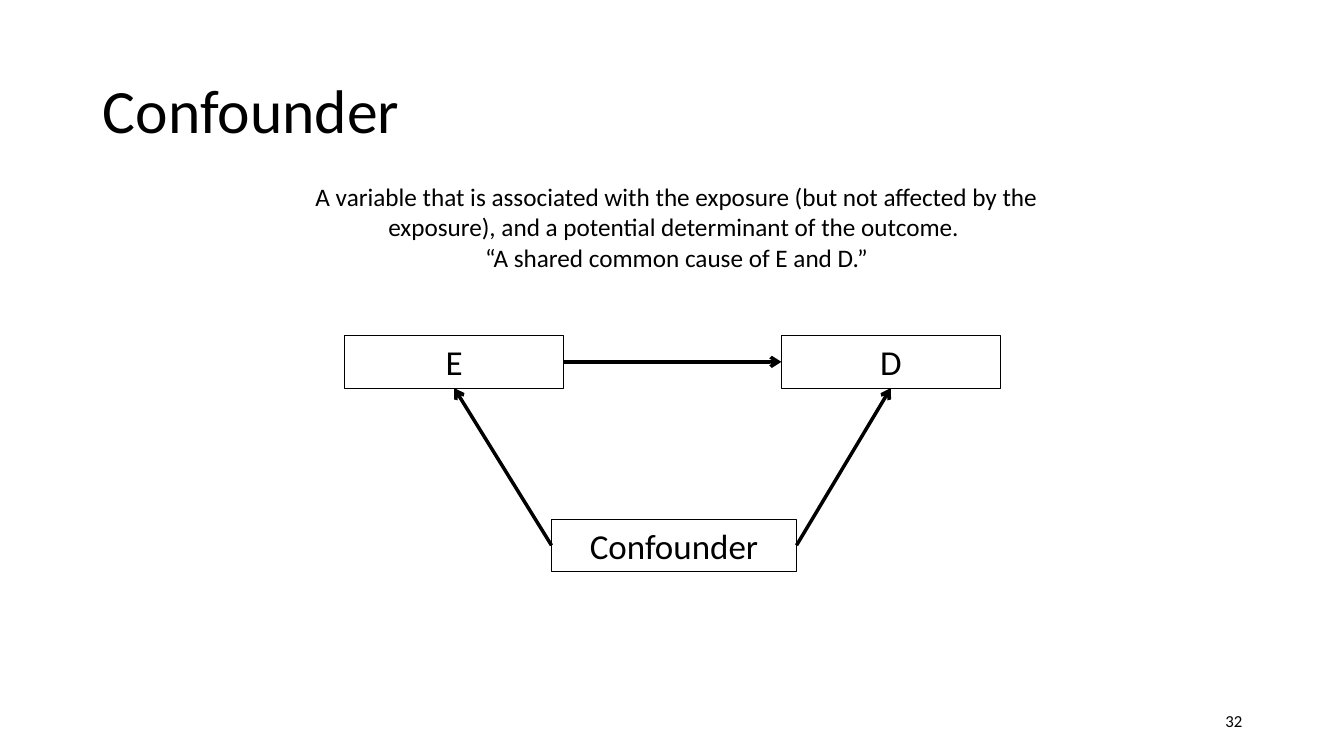
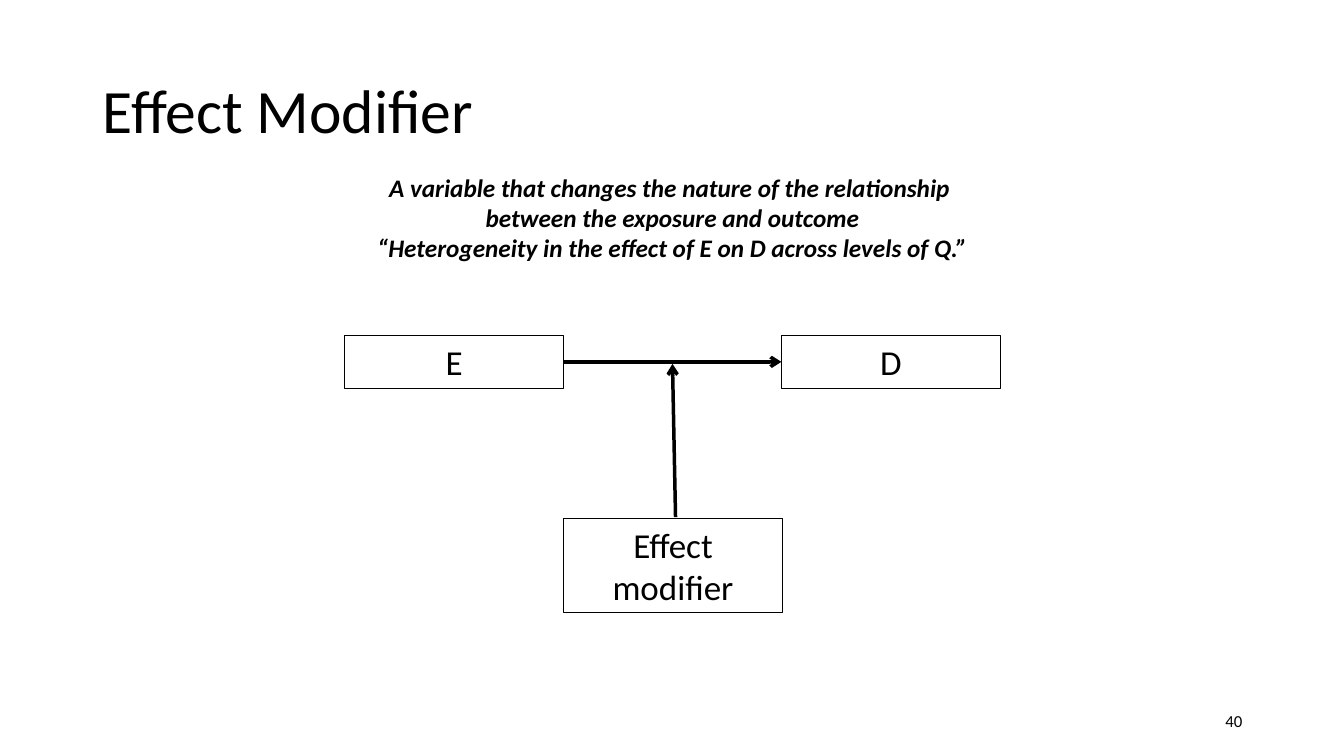
from lxml import etree
from pptx import Presentation
from pptx.dml.color import RGBColor
from pptx.enum.shapes import MSO_CONNECTOR, MSO_SHAPE
from pptx.enum.text import MSO_ANCHOR, MSO_AUTO_SIZE, PP_ALIGN
from pptx.oxml.ns import qn
from pptx.util import Inches, Pt

LEFT, CENTER, RIGHT = PP_ALIGN.LEFT, PP_ALIGN.CENTER, PP_ALIGN.RIGHT
TOP, MIDDLE = MSO_ANCHOR.TOP, MSO_ANCHOR.MIDDLE
NO_AUTOFIT = MSO_AUTO_SIZE.NONE
RECTANGLE = MSO_SHAPE.RECTANGLE
STRAIGHT = MSO_CONNECTOR.STRAIGHT
TITLE_ONLY = 5
SIDE_TOP, SIDE_LEFT, SIDE_BOTTOM, SIDE_RIGHT = range(4)

FONT = "Calibri"
COLORS = {"ink": "000000"}
INK = RGBColor.from_string(COLORS["ink"])

NODE_WIDTH, NODE_HEIGHT = 2.17, 0.52
NODE_TOP = 3.33
EXPOSURE_LEFT, OUTCOME_LEFT = 3.42, 7.75


def write(shape, *lines, size=18, align=CENTER, anchor=TOP, bold=False,
          italic=False, spacing=1.0):
    """Fill a shape with one paragraph per line of text."""
    frame = shape.text_frame
    frame.word_wrap = True
    frame.auto_size = NO_AUTOFIT
    frame.vertical_anchor = anchor
    for index, line in enumerate(lines):
        para = frame.paragraphs[0] if index == 0 else frame.add_paragraph()
        para.alignment = align
        para.line_spacing = spacing
        span = para.add_run()
        span.text = line
        font = span.font
        font.name, font.size = FONT, Pt(size)
        font.bold, font.italic = bold, italic
        font.color.rgb = INK


class DiagramDeck:
    def __init__(self):
        self.deck = Presentation()
        self.deck.slide_width = Inches(13.33)
        self.deck.slide_height = Inches(7.5)
        self.page = None

    def add_page(self, title, number):
        self.page = self.deck.slides.add_slide(self.deck.slide_layouts[TITLE_ONLY])
        heading = self.page.shapes.title
        heading.left, heading.top = Inches(0.92), Inches(0.4)
        heading.width, heading.height = Inches(11.5), Inches(1.45)
        write(heading, title, size=44, align=LEFT, anchor=MIDDLE, spacing=0.9)
        self.text(9.42, 6.95, 3, 0.4, number, size=12, align=RIGHT, anchor=MIDDLE)

    def text(self, left, top, width, height, *lines, **style):
        box = self.page.shapes.add_textbox(
            Inches(left), Inches(top), Inches(width), Inches(height))
        write(box, *lines, **style)

    def node(self, label, left, top, width=NODE_WIDTH, height=NODE_HEIGHT):
        box = self.page.shapes.add_shape(
            RECTANGLE, Inches(left), Inches(top), Inches(width), Inches(height))
        box.shadow.inherit = False
        box.fill.background()
        box.line.color.rgb = INK
        box.line.width = Pt(0.75)
        write(box, label, size=25)
        return box

    def arrow(self, start=(0, 0), end=(0, 0), begin_at=None, end_at=None):
        """Draw between points, or join (box, side) pairs where given."""
        line = self.page.shapes.add_connector(
            STRAIGHT, *(Inches(value) for value in (*start, *end)))
        if begin_at:
            line.begin_connect(*begin_at)
        if end_at:
            line.end_connect(*end_at)
        line.line.color.rgb = INK
        line.line.width = Pt(2.5)
        etree.SubElement(line.line._get_or_add_ln(), qn("a:tailEnd"), type="arrow")
        etree.SubElement(line._element.spPr, qn("a:effectLst"))

    def exposure_to_outcome(self):
        exposure = self.node("E", EXPOSURE_LEFT, NODE_TOP)
        outcome = self.node("D", OUTCOME_LEFT, NODE_TOP)
        self.arrow(begin_at=(exposure, SIDE_RIGHT), end_at=(outcome, SIDE_LEFT))
        return exposure, outcome


def add_confounder(diagram):
    diagram.add_page("Confounder", "32")
    exposure, outcome = diagram.exposure_to_outcome()
    confounder = diagram.node("Confounder", 5.47, 5.15, width=2.43)
    diagram.arrow(begin_at=(confounder, SIDE_RIGHT), end_at=(outcome, SIDE_BOTTOM))
    diagram.arrow(begin_at=(confounder, SIDE_LEFT), end_at=(exposure, SIDE_BOTTOM))
    diagram.text(
        2.89, 1.75, 7.64, 1.01,
        "A variable that is associated with the exposure (but not affected by the "
        "exposure), and a potential determinant of the outcome. ",
        "“A shared common cause of E and D.”")


def add_effect_modifier(diagram):
    diagram.add_page("Effect Modifier", "40")
    diagram.exposure_to_outcome()
    diagram.node("Effect modifier", 5.59, 5.14, height=0.94)
    diagram.arrow(start=(6.7, 5.13), end=(6.67, 3.61))
    diagram.text(
        2.85, 1.66, 7.64, 1.01,
        "A variable that changes the nature of the relationship ",
        "between the exposure and outcome",
        "“Heterogeneity in the effect of E on D across levels of Q.”",
        bold=True, italic=True)


def main():
    diagram = DiagramDeck()
    add_confounder(diagram)
    add_effect_modifier(diagram)
    diagram.deck.save("out.pptx")


if __name__ == "__main__":
    main()
